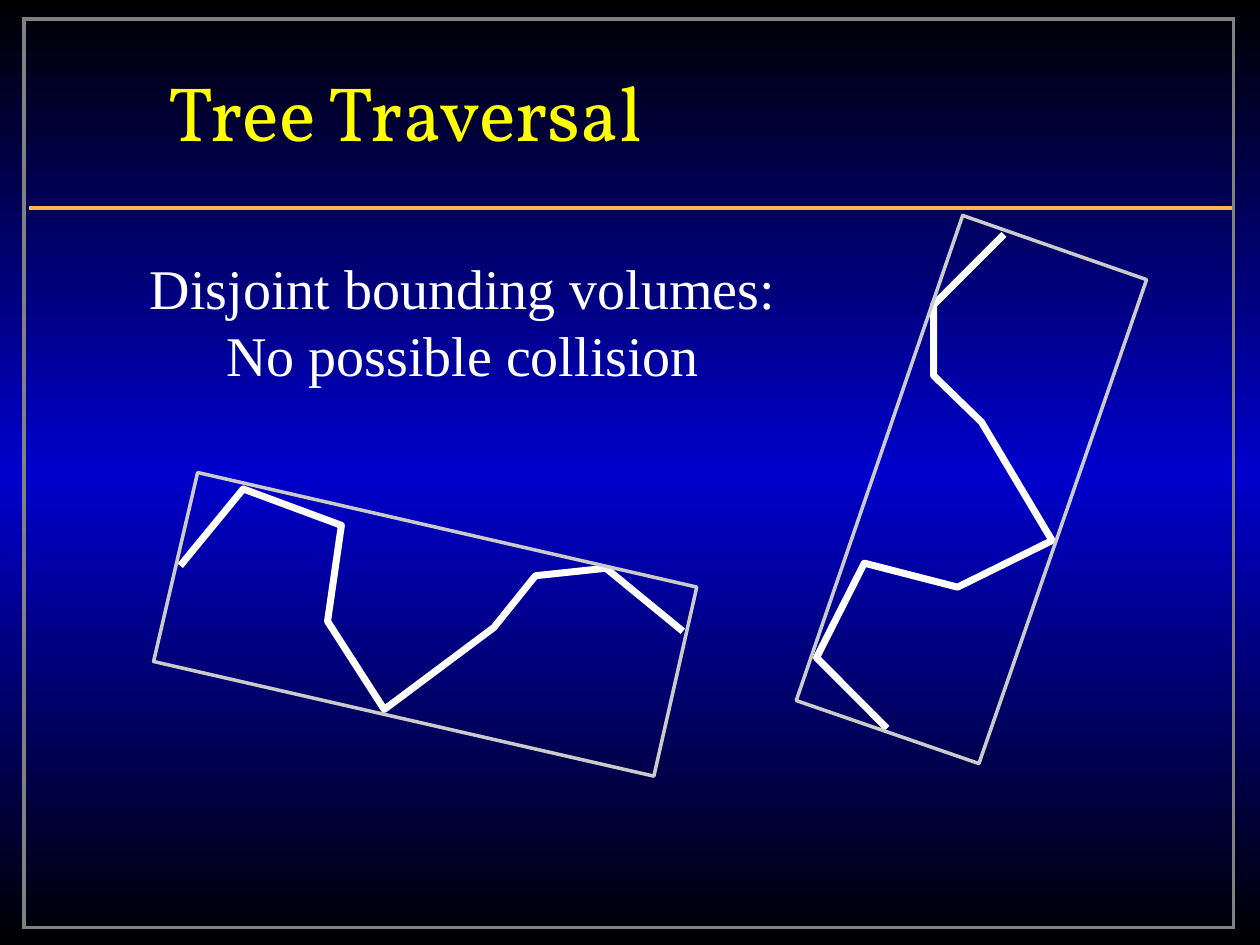
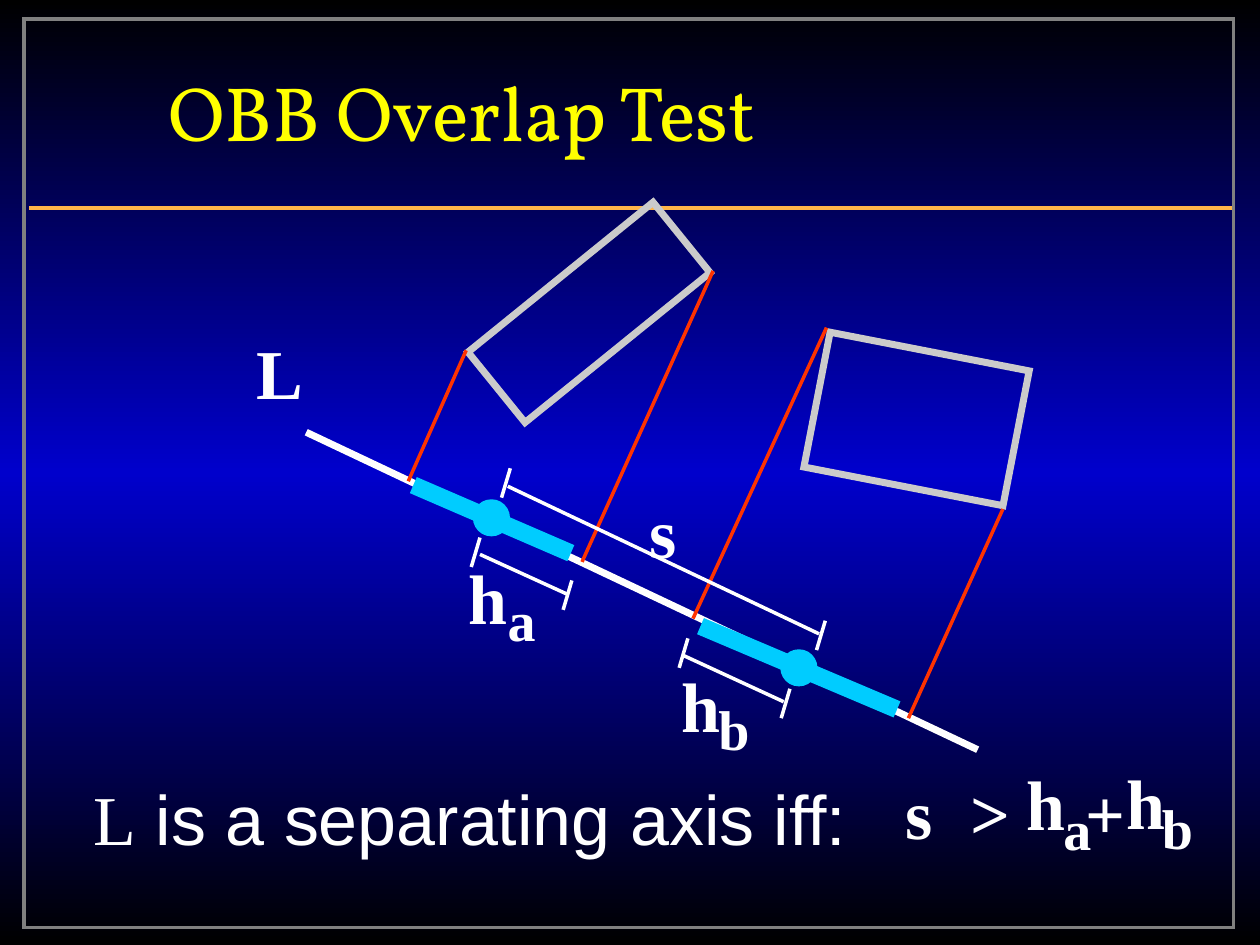
from copy import deepcopy

from lxml.etree import SubElement
from pptx import Presentation
from pptx.dml.color import RGBColor
from pptx.enum.shapes import MSO_CONNECTOR as Connector, MSO_SHAPE as Shape
from pptx.enum.text import MSO_ANCHOR as Anchor, PP_ALIGN as Align
from pptx.oxml.ns import qn
from pptx.util import Pt

BLACK = RGBColor(0x00, 0x00, 0x00)
BLUE = RGBColor(0x00, 0x00, 0xCC)
WHITE = RGBColor(0xFF, 0xFF, 0xFF)
YELLOW = RGBColor(0xFF, 0xFF, 0x00)
ORANGE = RGBColor(0xFF, 0xB5, 0x49)
GRAY = RGBColor(0x80, 0x80, 0x80)
SILVER = RGBColor(0xCB, 0xCB, 0xCB)
RED = RGBColor(0xFF, 0x33, 0x00)
CYAN = RGBColor(0x00, 0xCC, 0xFF)

TITLE_FONT, SERIF, SANS = "Vollkorn", "Times New Roman", "Arial"
BACKGROUND = [(0, BLACK), (0.5, BLUE), (1, BLACK)]
FRAME = (13.7, 10.8, 691.2, 519.1)
RULE = ((16.6, 118.8), (704.2, 118.8))
TITLE_BOX = (89.3, 18, 534.2, 90)

TRAVERSAL_TITLE = "Tree Traversal"
TRAVERSAL_LINES = ["Disjoint bounding volumes:", "No possible collision"]
TRAVERSAL_BOX = (78.5, 141.1, 372.2, 83.5)
CHAINS = [
    [(573.8, 133.9), (533.5, 174.2), (533.5, 214.6), (560.9, 241.2), (601.2, 308.9),
     (547.2, 335.5), (493.9, 321.8), (466.6, 375.8), (506.9, 416.2)],
    [(390.2, 360.7), (346.3, 324.7), (306, 329), (282.2, 358.6), (219.6, 405.4),
     (187.2, 355), (195.1, 300.2), (139, 279.4), (103, 323.3)],
]
VOLUMES = [
    [(550.1, 123.1), (655.2, 159.8), (559.4, 436.3), (455, 400.3)],
    [(398.2, 335.5), (373.7, 443.5), (87.8, 378), (113, 270)],
]

OVERLAP_TITLE = "OBB Overlap Test"
ORIENTED_BOXES = [((268.6, 152.6, 136.1, 51.8), 321), ((465.8, 200.2, 115.9, 78.5), 11)]
AXIS = ((175, 247), (558.7, 428.4))
PROJECTIONS = [
    ((233.3, 275), (266.4, 200.2)),
    ((332.6, 321.1), (407.5, 154.8)),
    ((396, 353.5), (472.3, 187.2)),
    ((519.1, 410.4), (573.1, 290.9)),
]
INTERVALS = [((236.2, 277.2), (326.2, 316.1)), ((400.3, 357.8), (512.6, 405.4))]
CENTERS = [(270.7, 285.8), (446.4, 371.5)]
CENTER_SIZE = 20.2
DIMENSIONS = [
    ((290.2, 277.9), (468, 362.2), (286.6, 284.4), (466.6, 371.5)),
    ((390.2, 374.4), (447.8, 401), (388.1, 381.6), (446.4, 410.4)),
    ((274.3, 316.8), (324.7, 339.8), (269.3, 324), (321.8, 348.5)),
]
TICK = (5, -16.8)
BIG, SMALL = (40, 54.7), (32, 45.4)
GLYPHS = {
    "s": (29.5, BIG), "h": (36.7, BIG), "+": (36.7, BIG), ">": (36.7, BIG),
    "L": (41, BIG), "a": (30.2, SMALL), "b": (32.4, SMALL),
}
LABELS = [
    ("s", 364.3, 275.8), ("h", 260.6, 313.2), ("a", 283, 331.2),
    ("b", 656.6, 450), ("a", 600.5, 450.7), ("s", 510.5, 436.3),
    ("h", 579.6, 431.3), ("h", 636.5, 430.6), ("+", 613.4, 436.3),
    (">", 547.2, 436.3), ("L", 139.7, 185), ("h", 382.3, 375.1), ("b", 403.2, 393.1),
]
SENTENCE = [("L", SERIF), (" is a separating axis iff:", SANS)]
SENTENCE_BOX = (46.1, 439.9, 445, 54.7)


def points(values):
    return [Pt(value) for value in values]


def add_line(page, start, end, color, width):
    line = page.shapes.add_connector(Connector.STRAIGHT, *points(start + end))
    line.line.color.rgb = color
    line.line.width = Pt(width)
    SubElement(line.element.spPr, qn("a:effectLst"))


def style_outline(shape, color, width):
    shape.shadow.inherit = False
    shape.fill.background()
    shape.line.color.rgb = color
    shape.line.width = Pt(width)


def add_rectangle(page, place, color, width, rotation=0):
    shape = page.shapes.add_shape(Shape.RECTANGLE, *points(place))
    shape.rotation = rotation
    style_outline(shape, color, width)
    SubElement(shape.element.spPr.find(qn("a:ln")), qn("a:miter"), lim="800000")


def add_outline(page, corners, closed, color, width):
    first, *rest = [points(corner) for corner in corners]
    builder = page.shapes.build_freeform(*first)
    builder.add_line_segments(rest, close=closed)
    style_outline(builder.convert_to_shape(), color, width)


def add_text(page, place, lines, size, color=WHITE, bold=False,
             align=Align.CENTER, anchor=Anchor.TOP, wrap=False):
    frame = page.shapes.add_textbox(*points(place)).text_frame
    frame.word_wrap = wrap
    frame.vertical_anchor = anchor
    for index, spans in enumerate(lines):
        para = frame.add_paragraph() if index else frame.paragraphs[0]
        para.alignment = align
        for text, font in spans:
            span = para.add_run()
            span.text = text
            span.font.name = font
            span.font.size = Pt(size)
            span.font.bold = bold
            span.font.color.rgb = color


def add_page(deck, title):
    page = deck.slides.add_slide(deck.slide_layouts[6])
    fill = page.background.fill
    fill.gradient()
    fill.gradient_angle = 90
    stop_list = page.element.find(".//" + qn("a:gsLst"))
    stop_list.append(deepcopy(stop_list[0]))
    for stop, (position, color) in zip(fill.gradient_stops, BACKGROUND):
        stop.position = position
        stop.color.rgb = color
    add_rectangle(page, FRAME, GRAY, 2)
    add_line(page, *RULE, ORANGE, 2)
    add_text(page, TITLE_BOX, [[(title, TITLE_FONT)]], 44, YELLOW,
             align=Align.LEFT, anchor=Anchor.MIDDLE, wrap=True)
    return page


def add_traversal(deck):
    page = add_page(deck, TRAVERSAL_TITLE)
    for chain, volume in zip(CHAINS, VOLUMES):
        add_outline(page, chain, False, WHITE, 4)
        add_outline(page, volume, True, SILVER, 2)
    add_text(page, TRAVERSAL_BOX, [[(line, SERIF)] for line in TRAVERSAL_LINES], 32)


def add_overlap(deck):
    page = add_page(deck, OVERLAP_TITLE)
    for place, rotation in ORIENTED_BOXES:
        add_rectangle(page, place, SILVER, 4, rotation)
    add_line(page, *AXIS, WHITE, 4)
    for start, end in PROJECTIONS:
        add_line(page, start, end, RED, 2)
    for start, end in INTERVALS:
        add_line(page, start, end, CYAN, 10)
    for center in CENTERS:
        dot = page.shapes.add_shape(Shape.OVAL, *points(center + (CENTER_SIZE, CENTER_SIZE)))
        style_outline(dot, CYAN, 1)
        dot.fill.solid()
        dot.fill.fore_color.rgb = CYAN
    for start, end, *feet in DIMENSIONS:
        add_line(page, start, end, WHITE, 2)
        for x, y in feet:
            add_line(page, (x, y), (x + TICK[0], y + TICK[1]), WHITE, 2)
    for text, left, top in LABELS:
        width, (size, height) = GLYPHS[text]
        add_text(page, (left, top, width, height), [[(text, SERIF)]], size, bold=True)
    add_text(page, SENTENCE_BOX, [SENTENCE], 40)


def main():
    deck = Presentation()
    deck.slide_width, deck.slide_height = Pt(720), Pt(540)
    add_traversal(deck)
    add_overlap(deck)
    deck.save("out.pptx")


if __name__ == "__main__":
    main()
